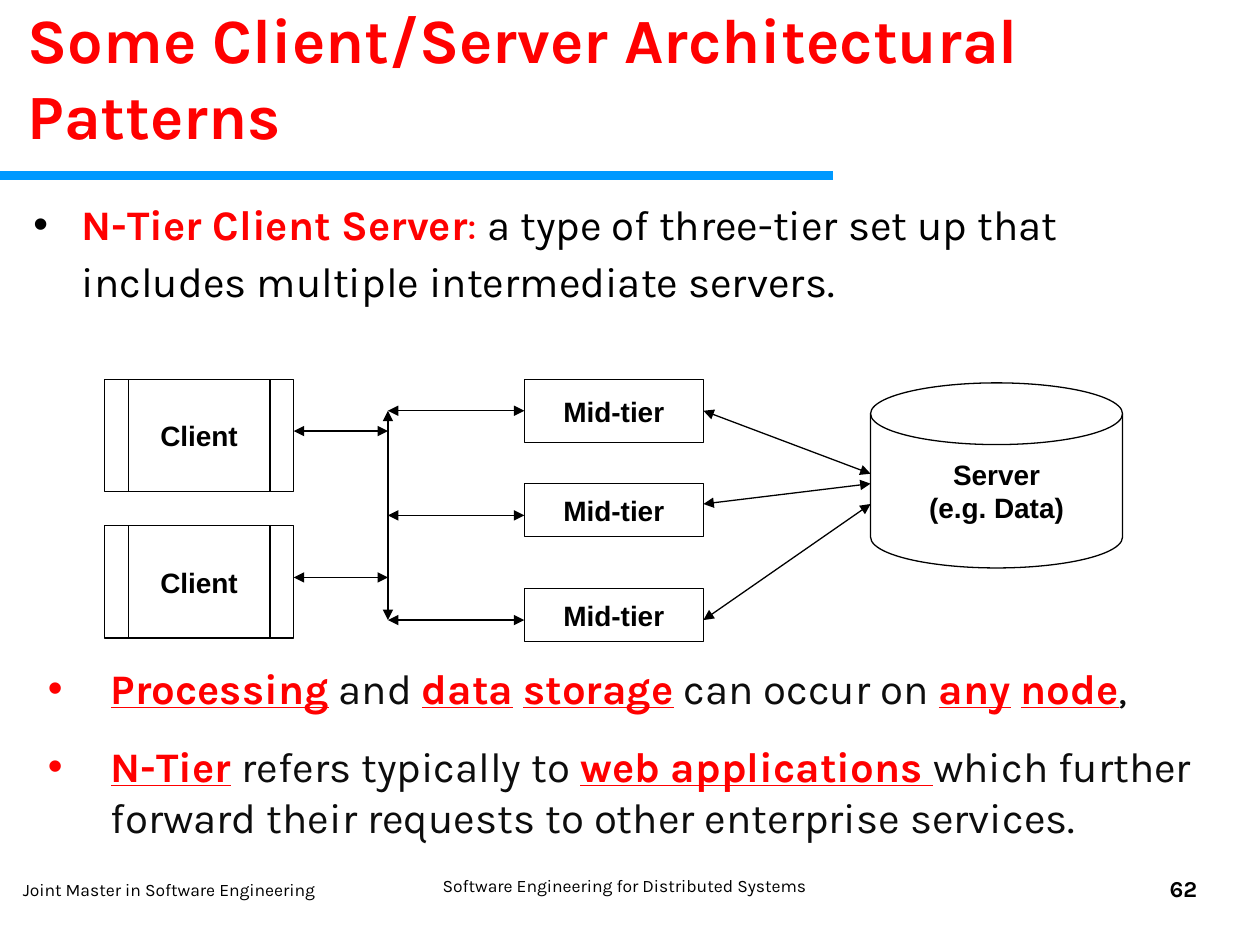
from dataclasses import dataclass

from lxml.etree import SubElement
from pptx import Presentation
from pptx.dml.color import RGBColor
from pptx.enum.shapes import MSO_CONNECTOR, MSO_SHAPE
from pptx.enum.text import MSO_ANCHOR, MSO_AUTO_SIZE, PP_ALIGN
from pptx.oxml.ns import qn
from pptx.util import Cm, Pt


@dataclass(frozen=True)
class Theme:
    red: str = "FF0000"
    blue: str = "0099FF"
    black: str = "000000"
    ink: str = "0D0D0D"
    white: str = "FFFFFF"
    text_font: str = "Karla"
    label_font: str = "Arial"
    title_size: int = 36
    body_size: int = 24
    label_size: int = 16
    number_size: int = 13
    footer_size: int = 10
    line_width: float = 0.75


THEME = Theme()


def add_text(paragraph, text, *, size, color=THEME.black, font=THEME.text_font,
             bold=False, underline=False):
    run = paragraph.add_run()
    run.text = text
    run.font.name = font
    run.font.size = Pt(size)
    run.font.bold = bold
    run.font.underline = underline
    run.font.color.rgb = RGBColor.from_string(color)


def place(shape, left, top, width, height):
    shape.left, shape.top = Cm(left), Cm(top)
    shape.width, shape.height = Cm(width), Cm(height)


def set_bullet(paragraph, color, margin, hanging):
    properties = paragraph._p.get_or_add_pPr()
    properties.set("marL", str(Cm(margin)))
    properties.set("indent", str(-Cm(hanging)))
    bullet_color = SubElement(properties, qn("a:buClr"))
    SubElement(bullet_color, qn("a:srgbClr"), val=color)
    SubElement(properties, qn("a:buChar"), char="•")


def fill_title(shape, text):
    place(shape, 0.3, 0.71, 25.1, 3.18)
    frame = shape.text_frame
    frame.auto_size = MSO_AUTO_SIZE.NONE
    frame.vertical_anchor = MSO_ANCHOR.MIDDLE
    frame.margin_bottom = Cm(1.65)
    paragraph = frame.paragraphs[0]
    paragraph.alignment = PP_ALIGN.LEFT
    add_text(paragraph, text, size=THEME.title_size, color=THEME.red, bold=True)


def fill_list(shape, box, items, *, bullet_color, margin, hanging, gap=0, line_spacing=1.0):
    """Write items, each a list of (text, format) pairs, as bulleted paragraphs."""
    place(shape, *box)
    frame = shape.text_frame
    frame.auto_size = MSO_AUTO_SIZE.NONE
    for index, parts in enumerate(items):
        paragraph = frame.add_paragraph() if index else frame.paragraphs[0]
        set_bullet(paragraph, bullet_color, margin, hanging)
        paragraph.space_before = Pt(gap if index else 0)
        paragraph.line_spacing = line_spacing
        for text, style in parts:
            add_text(paragraph, text, size=THEME.body_size, **style)


def add_footer(slide, box, text, *, alignment, **style):
    text_box = slide.shapes.add_textbox(*map(Cm, box))
    frame = text_box.text_frame
    frame.word_wrap = True
    frame.margin_left = frame.margin_right = frame.margin_top = frame.margin_bottom = 0
    frame.paragraphs[0].alignment = alignment
    add_text(frame.paragraphs[0], text, **style)


def add_rule(slide):
    rule = slide.shapes.add_shape(MSO_SHAPE.RECTANGLE, Cm(0), Cm(3.45), Cm(16.79), Cm(0.18))
    rule.shadow.inherit = False
    rule.fill.solid()
    rule.fill.fore_color.rgb = RGBColor.from_string(THEME.blue)
    rule.line.fill.background()


def add_node(shapes, kind, box, *lines):
    node = shapes.add_shape(kind, *map(Cm, box))
    node.shadow.inherit = False
    node.fill.solid()
    node.fill.fore_color.rgb = RGBColor.from_string(THEME.white)
    node.line.color.rgb = RGBColor.from_string(THEME.black)
    node.line.width = Pt(THEME.line_width)
    frame = node.text_frame
    frame.word_wrap = False
    frame.vertical_anchor = MSO_ANCHOR.MIDDLE
    for index, line in enumerate(lines):
        paragraph = frame.add_paragraph() if index else frame.paragraphs[0]
        paragraph.alignment = PP_ALIGN.CENTER
        add_text(paragraph, line, size=THEME.label_size, font=THEME.label_font, bold=True)


def add_double_arrow(shapes, start, end):
    arrow = shapes.add_connector(MSO_CONNECTOR.STRAIGHT, *map(Cm, (*start, *end)))
    arrow.line.color.rgb = RGBColor.from_string(THEME.black)
    arrow.line.width = Pt(THEME.line_width)
    line = arrow.line._get_or_add_ln()
    for side in ("a:headEnd", "a:tailEnd"):
        SubElement(line, qn(side), type="triangle")
    SubElement(arrow._element.spPr, qn("a:effectLst"))


def add_architecture(slide):
    """Draw clients, a shared bus, the middle tier and the server."""
    shapes = slide.shapes.add_group_shape().shapes
    client_left, client_width = 2.11, 3.81
    mid_left, mid_width = 10.57, 3.61
    top, bus, server_left = 7.65, 7.82, 17.55
    branch_heights = [8.28 + 2.11 * row for row in range(3)]

    for client_top in (top, top + 2.95):
        add_node(shapes, MSO_SHAPE.FLOWCHART_PREDEFINED_PROCESS,
                 (client_left, client_top, client_width, 2.26), "Client")
        height = client_top + 1.04
        add_double_arrow(shapes, (client_left + client_width, height), (bus, height))

    add_node(shapes, MSO_SHAPE.FLOWCHART_MAGNETIC_DISK,
             (server_left, 7.72, 5.08, 3.73), "Server", "(e.g. Data)")
    add_double_arrow(shapes, (bus, branch_heights[0]), (bus, branch_heights[-1]))

    mid_tiers = [  # top, height, arrow start, arrow end at the server
        (top, 1.27, branch_heights[0], 9.55),
        (9.75, 1.07, 10.16, 9.75),
        (11.86, 1.07, branch_heights[2], 10.16),
    ]
    for branch, (mid_top, height, start, end) in zip(branch_heights, mid_tiers):
        add_node(shapes, MSO_SHAPE.RECTANGLE, (mid_left, mid_top, mid_width, height), "Mid-tier")
        add_double_arrow(shapes, (bus, branch), (mid_left, branch))
        add_double_arrow(shapes, (mid_left + mid_width, start), (server_left, end))


def main():
    presentation = Presentation()
    presentation.slide_width, presentation.slide_height = Cm(25.4), Cm(19.05)
    slide = presentation.slides.add_slide(presentation.slide_layouts[3])
    title, definition, remarks = slide.placeholders

    plain = {"color": THEME.ink}
    term = {"color": THEME.red, "bold": True}
    key = {**term, "underline": True}

    add_rule(slide)
    fill_title(title, "Some Client/Server Architectural Patterns")
    fill_list(definition, (0.3, 3.73, 24.41, 13.41), [
        [("N-Tier Client Server", term), (":", {"color": THEME.red}),
         (" a type of three-tier set up that includes multiple intermediate servers.", {})],
    ], bullet_color=THEME.black, margin=1.09, hanging=0.97, line_spacing=1.14)
    add_architecture(slide)
    fill_list(remarks, (0.71, 13.23, 24.69, 3.91), [
        [("Processing", key), (" and ", plain), ("data", key), (" ", plain),
         ("storage", key), (" can occur on ", plain), ("any", key), (" ", plain),
         ("node", key), (",", plain)],
        [("N-Tier", key), (" refers typically to ", plain), ("web applications ", key),
         ("which further forward their requests to other enterprise services.", plain)],
    ], bullet_color=THEME.red, margin=1.27, hanging=1.27, gap=16)

    add_footer(slide, (0.46, 17.73, 8.05, 1.32), "Joint Master in Software Engineering",
               alignment=PP_ALIGN.LEFT, size=THEME.footer_size)
    add_footer(slide, (8.56, 17.63, 8.05, 1.04), "Software Engineering for Distributed Systems",
               alignment=PP_ALIGN.CENTER, size=THEME.footer_size)
    add_footer(slide, (18.21, 17.63, 5.92, 1.04), "62",
               alignment=PP_ALIGN.RIGHT, size=THEME.number_size, bold=True)
    presentation.save("out.pptx")


if __name__ == "__main__":
    main()
